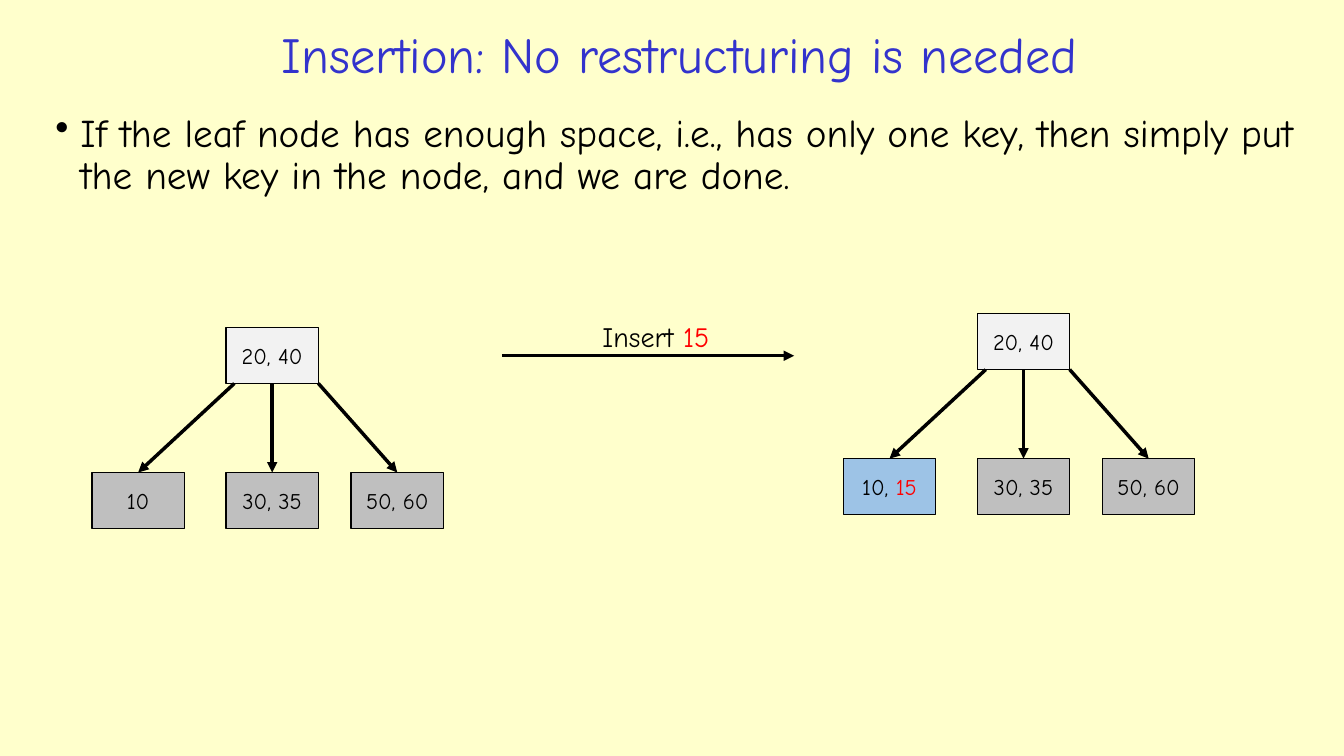
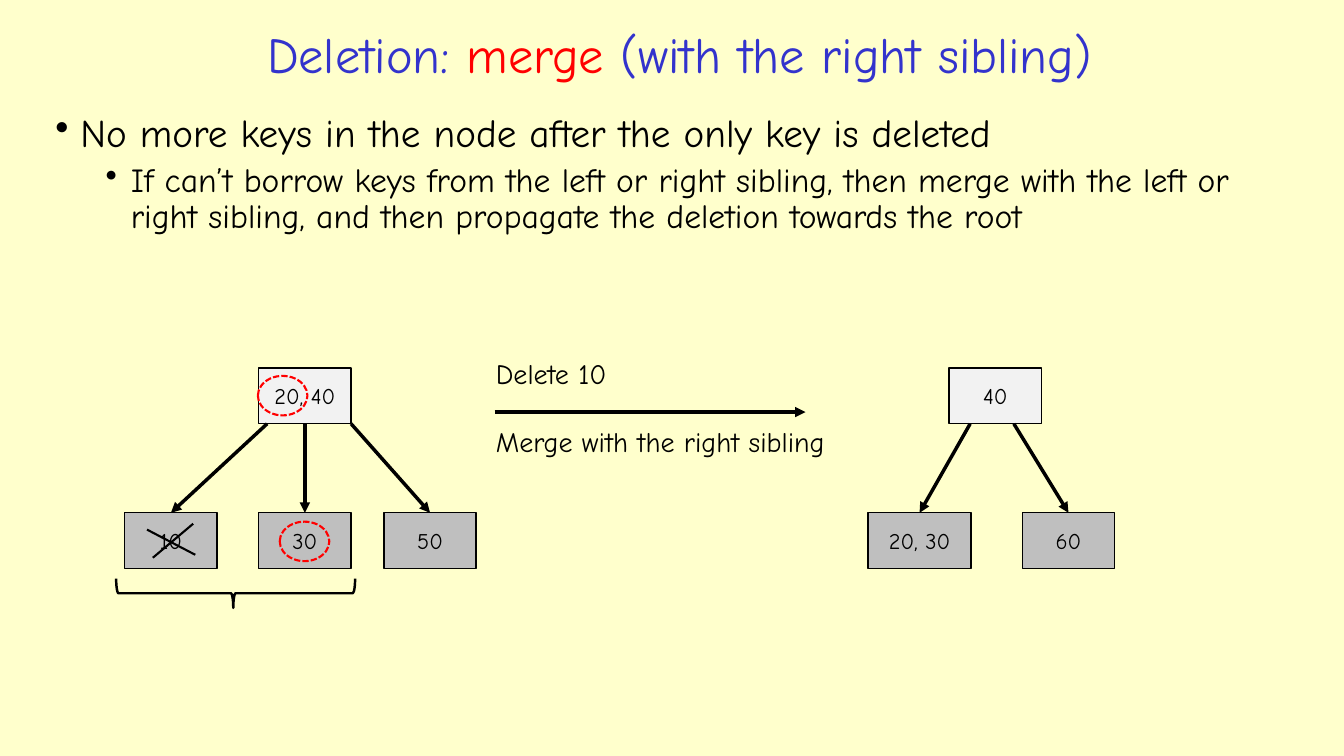
from lxml.etree import SubElement
from pptx import Presentation
from pptx.dml.color import RGBColor
from pptx.enum.dml import MSO_LINE
from pptx.enum.shapes import MSO_CONNECTOR as Conn, MSO_SHAPE as Kind
from pptx.enum.text import MSO_ANCHOR as Anchor, PP_ALIGN as Align
from pptx.oxml.ns import qn
from pptx.util import Emu, Inches, Pt

# Lengths are counted in squares of a grid of 32 columns by 18 rows
COLS, ROWS, SQUARE = 32, 18, 381000
FONT = "Comic Neue"
COLORS = {
    "page": "FFFFCC", "title": "3333CC", "ink": "000000", "red": "FF0000",
    "root": "F2F2F2", "leaf": "BFBFBF", "new": "9DC3E6",
}
NODE_W, NODE_H, DROP = 2.2, 1.33, 3.45
RING_W, RING_H = 1.18, 0.94
# Each tree shape: root offset, then (offset, width, arrow start on root) per leaf
THREE = (3.19, [(0, NODE_W, 0.2), (3.19, NODE_W, NODE_W / 2), (6.17, NODE_W, NODE_W)])
TWO = (1.93, [(0, 2.45, 0.5), (3.67, NODE_W, 1.54)])


def grid(*vals):
    return [Emu(round(v * SQUARE)) for v in vals]


def color(name):
    return RGBColor.from_string(COLORS[name])


def write(para, text, size, ink="ink", align=Align.LEFT):
    """Fill a paragraph; words between asterisks turn red."""
    para.alignment = align
    para.font.name, para.font.size = FONT, Pt(size)
    para.font.color.rgb = color(ink)
    for i, part in enumerate(text.split("*")):
        if part:
            run = para.add_run()
            run.text = part
            if i % 2:
                run.font.color.rgb = color("red")


def text_box(slide, box, wrap=True):
    frame = slide.shapes.add_textbox(*grid(*box)).text_frame
    frame.word_wrap = wrap
    return frame


def shape(slide, kind, box, width, fill=None, line="ink"):
    item = slide.shapes.add_shape(kind, *grid(*box))
    item.shadow.inherit = False
    if fill:
        item.fill.solid()
        item.fill.fore_color.rgb = color(fill)
    else:
        item.fill.background()
    item.line.color.rgb, item.line.width = color(line), Pt(width)
    return item


def line(slide, start, end, width=2.5, head=True):
    item = slide.shapes.add_connector(Conn.STRAIGHT, *grid(*start, *end))
    item.line.color.rgb, item.line.width = color("ink"), Pt(width)
    SubElement(item._element.spPr, qn("a:effectLst"))
    if head:
        SubElement(item.line._get_or_add_ln(), qn("a:tailEnd"), type="triangle")
    return item


# Title and bullets
def page(deck, title, points):
    slide = deck.slides.add_slide(deck.slide_layouts[6])
    slide.background.fill.solid()
    slide.background.fill.fore_color.rgb = color("page")
    frame = text_box(slide, (4.73, 0.36, 22.9, 1.82))
    frame.vertical_anchor = Anchor.MIDDLE
    write(frame.paragraphs[0], title, 36, "title", Align.CENTER)

    frame = text_box(slide, (1.08, 2.59, 30.12, 3.67))
    for level, text in enumerate(points):
        para = frame.add_paragraph() if level else frame.paragraphs[0]
        para.level, para.line_spacing = level, 0.9
        if level:
            para.space_before = Pt(5)
        props = para._p.get_or_add_pPr()
        props.set("marL", str(Inches(0.25 + 0.5 * level)))
        props.set("indent", str(Inches(-0.25)))
        SubElement(props, qn("a:buChar"), char="•")
        write(para, text, 28 - 4 * level)
    return slide


# Trees
def node(slide, x, y, text, fill, wide=NODE_W):
    item = shape(slide, Kind.RECTANGLE, (x, y, wide, NODE_H), 1, fill)
    item.text_frame.vertical_anchor = Anchor.MIDDLE
    write(item.text_frame.paragraphs[0], text, 16, align=Align.CENTER)
    return item


def tree(slide, x, y, plan, top, keys):
    shift, places = plan
    root = node(slide, x + shift, y, top, "root")
    for (dx, wide, start), text in zip(places, keys):
        fill = "new" if "*" in text else "leaf"
        leaf = node(slide, x + dx, y + DROP, text, fill, wide)
        arrow = line(slide, (x + shift + start, y + NODE_H),
                     (x + dx + wide / 2, y + DROP))
        if start == NODE_W / 2:
            arrow.begin_connect(root, 2)
        arrow.end_connect(leaf, 0)


# Step arrow with its label
def step(slide, x, y, long, box, texts, wrap=True):
    line(slide, (x, y), (x + long, y))
    frame = text_box(slide, box, wrap)
    for i, text in enumerate(texts):
        para = frame.add_paragraph() if i else frame.paragraphs[0]
        if i:
            para.space_before = Pt(24)
        write(para, text, 20)


# Marks on the tree whose corner is x, y
def marks(slide, x, y):
    low = y + DROP
    for x1, y1, x2, y2 in [(0.53, 0.4, 1.68, 1), (1.63, 0.26, 0.67, 1.07)]:
        line(slide, (x + x1, low + y1), (x + x2, low + y2), 1.5, False)
    for dx, dy in [(3.17, 0.19), (3.69, DROP + 0.21)]:
        ring = shape(slide, Kind.OVAL, (x + dx, y + dy, RING_W, RING_H), 1.5, line="red")
        ring.line.dash_style = MSO_LINE.SQUARE_DOT
    brace = shape(slide, Kind.RIGHT_BRACE, (x + 2.29, y + 2.52, 0.7, 5.69), 1.75)
    brace.rotation = 90
    brace.adjustments[0], brace.adjustments[1] = 0.08, 0.51


def insertion(deck):
    slide = page(deck, "Insertion: No restructuring is needed", [
        "If the leaf node has enough space, i.e., has only one key, "
        "then simply put the new key in the node, and we are done."])
    tree(slide, 2.19, 7.8, THREE, "20, 40", ["10", "30, 35", "50, 60"])
    tree(slide, 20.08, 7.47, THREE, "20, 40", ["10, *15*", "30, 35", "50, 60"])
    step(slide, 11.95, 8.47, 6.96, (14.11, 7.49, 3.46, 1.06), ["Insert *15*"], False)


def deletion(deck):
    slide = page(deck, "Deletion: *merge* (with the right sibling)", [
        "No more keys in the node after the only key is deleted",
        "If can’t borrow keys from the left or right sibling, then merge with the "
        "left or right sibling, and then propagate the deletion towards the root"])
    x, y = 2.97, 8.76
    tree(slide, x, y, THREE, "20, 40", ["10", "30", "50"])
    marks(slide, x, y)
    step(slide, 11.78, 9.81, 7.4, (11.57, 8.38, 9.62, 2.66),
         ["Delete 10", "Merge with the right sibling"])
    tree(slide, 20.67, y, TWO, "40", ["20, 30", "60"])


def main():
    deck = Presentation()
    deck.slide_width, deck.slide_height = grid(COLS, ROWS)
    insertion(deck)
    deletion(deck)
    deck.save("out.pptx")


if __name__ == "__main__":
    main()
